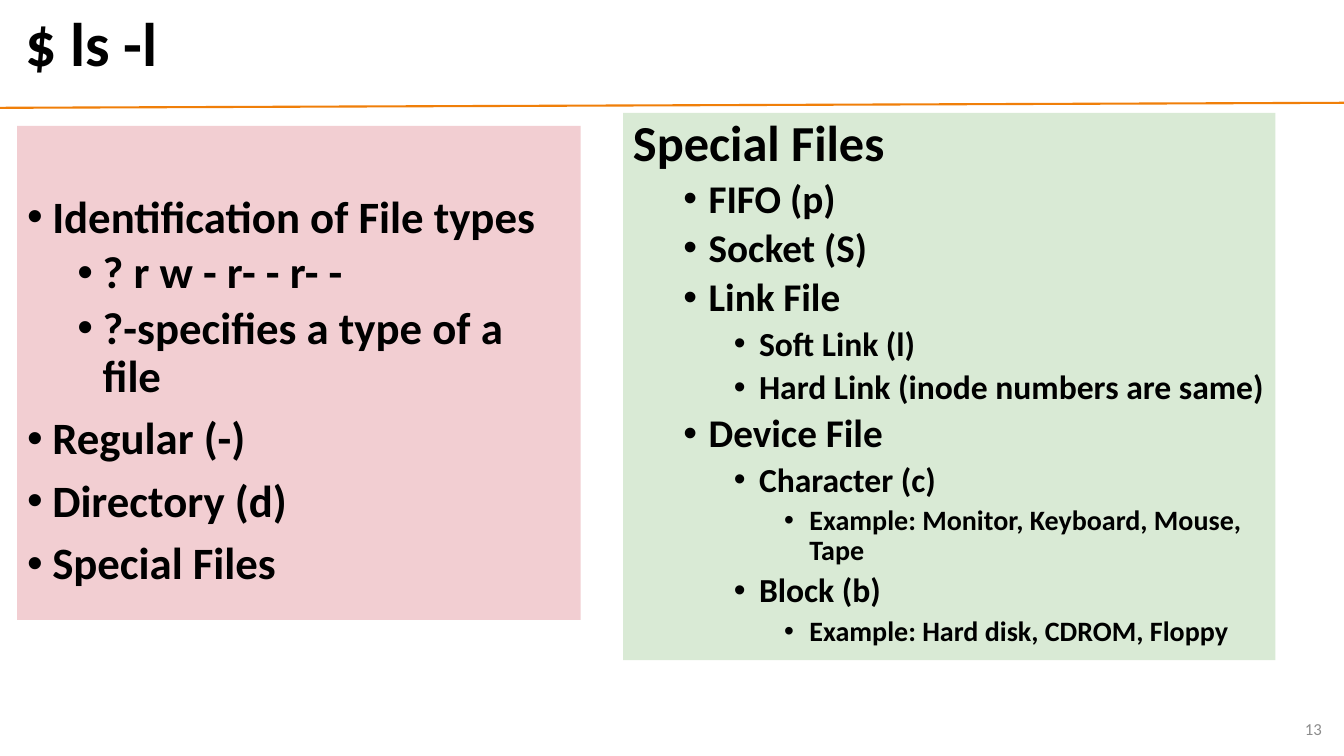
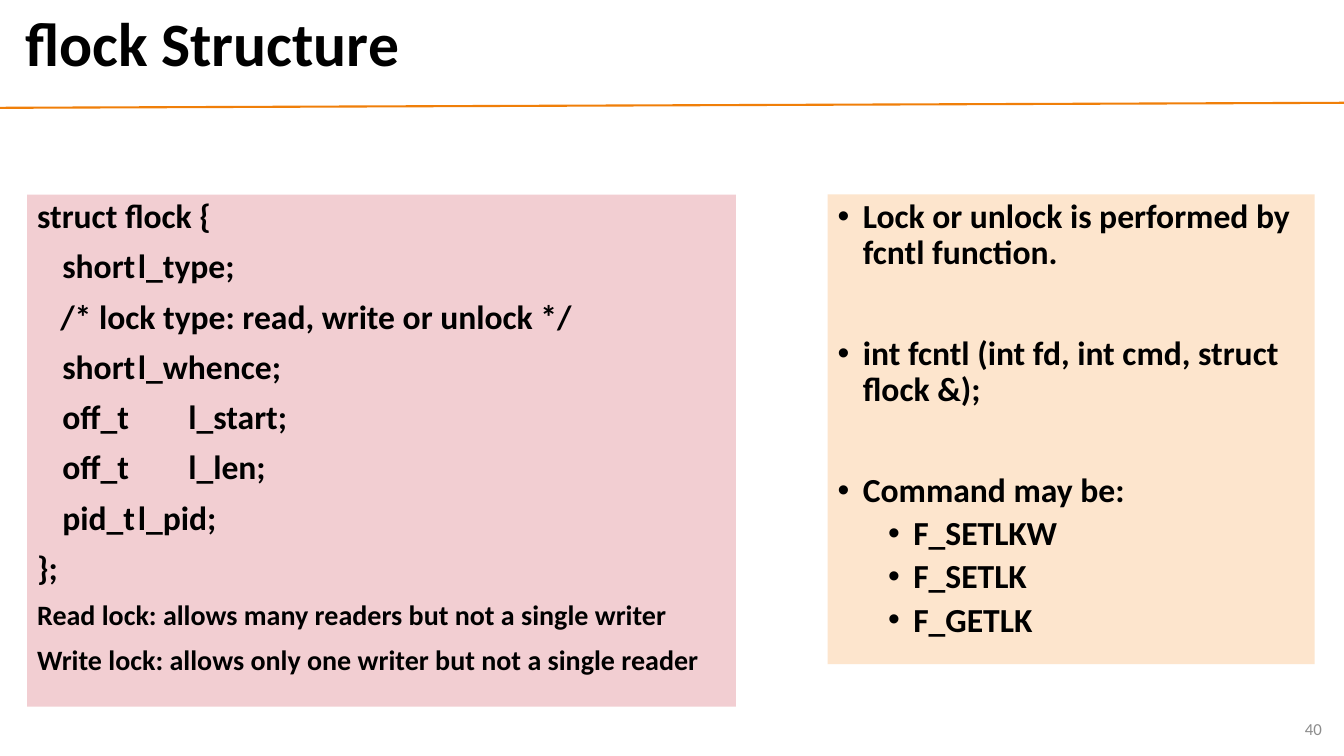
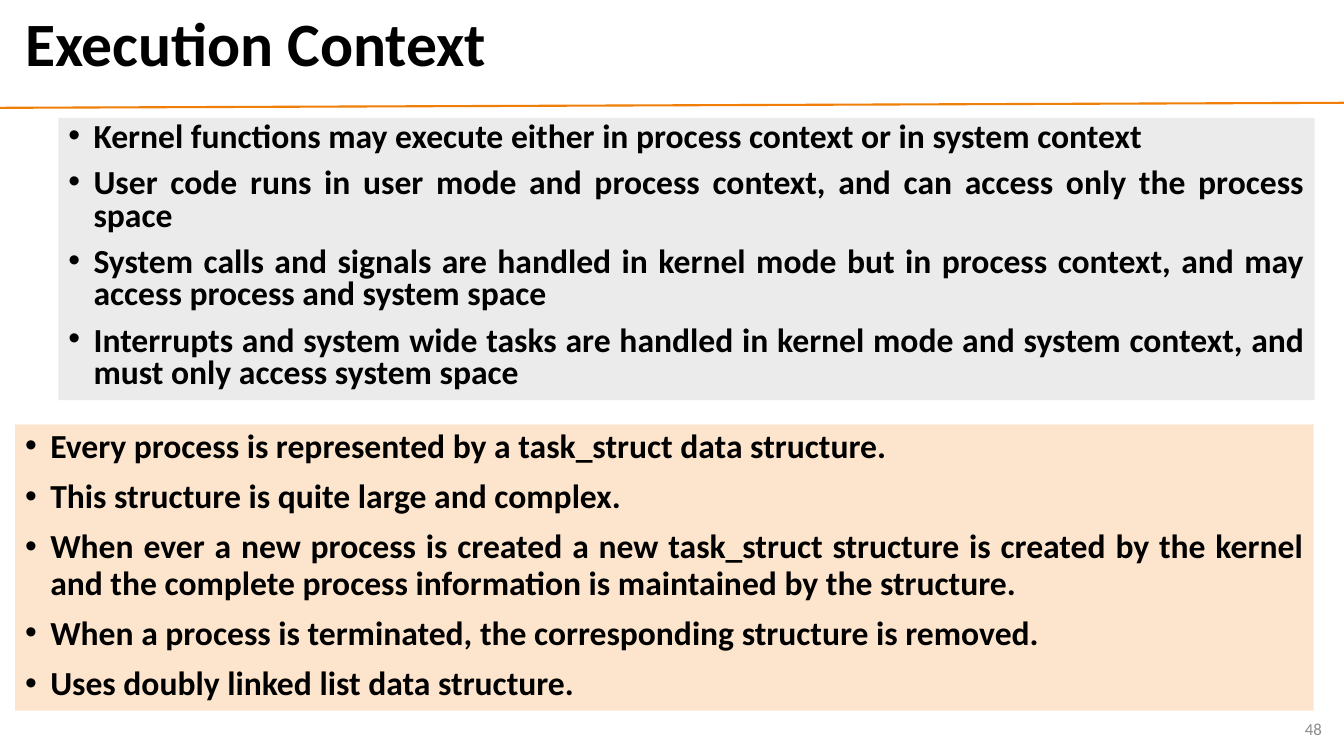
from dataclasses import dataclass

from lxml import etree
from pptx import Presentation
from pptx import util as u
from pptx.dml import color
from pptx.enum import shapes, text
from pptx.oxml import ns

PX = 9144
STEP = 50
HANG = 25
TOP = text.MSO_ANCHOR.TOP
MIDDLE = text.MSO_ANCHOR.MIDDLE
LEFT = text.PP_ALIGN.LEFT
RIGHT = text.PP_ALIGN.RIGHT
FULL = text.PP_ALIGN.JUSTIFY


@dataclass(frozen=True)
class Theme:
    font: str = "Calibri"
    ink: str = "000000"
    muted: str = "8C8C8C"
    accent: str = "F07F09"
    pink: str = "F2CED2"
    green: str = "D9EAD5"
    peach: str = "FDE5CD"
    gray: str = "EBEBEB"
    title: int = 44
    head: int = 36
    large: int = 32
    medium: int = 28
    body: int = 24
    small: int = 20
    page: int = 12


THEME = Theme()


@dataclass(frozen=True)
class Line:
    words: str
    size: int = THEME.body
    left: int = 0
    indent: int = 0
    bullet: bool = False
    tabs: tuple = ()
    bold: bool = True
    ink: str = THEME.ink
    align: int = LEFT
    space: float = 0.9
    before: int = 10
    after: int = 0


def px(count):
    return u.Emu(count * PX)


def rgb(code):
    return color.RGBColor.from_string(code)


def point(words, size=THEME.body, level=0, **style):
    style.setdefault("before", 5 if level else 10)
    return Line(words, size, HANG + STEP * level, -HANG, True, **style)


def field(words):
    return Line(words, indent=HANG, tabs=(125, 225))


def write(frame, lines, anchor=TOP, inset=5):
    frame.word_wrap = True
    frame.vertical_anchor = anchor
    frame.margin_left = frame.margin_right = px(10)
    frame.margin_top, frame.margin_bottom = px(inset), px(5)
    for index, line in enumerate(lines):
        para = frame.paragraphs[0] if index == 0 else frame.add_paragraph()
        para.text = line.words
        para.alignment = line.align
        para.line_spacing = line.space
        para.space_before = u.Pt(line.before if index else 0)
        para.space_after = u.Pt(line.after)
        props = para._p.get_or_add_pPr()
        props.set("marL", str(px(line.left)))
        props.set("indent", str(px(line.indent)))
        if line.bullet:
            etree.SubElement(props, ns.qn("a:buFont"), typeface="Arial")
            etree.SubElement(props, ns.qn("a:buChar"), char="•")
        if line.tabs:
            stops = etree.SubElement(props, ns.qn("a:tabLst"))
            for place in line.tabs:
                etree.SubElement(stops, ns.qn("a:tab"), pos=str(px(place)), algn="l")
        font = para.font
        font.name, font.size, font.bold = THEME.font, u.Pt(line.size), line.bold
        font.color.rgb = rgb(line.ink)


def label(slide, box, line):
    shape = slide.shapes.add_textbox(*map(px, box))
    write(shape.text_frame, [line], MIDDLE)


def panel(slide, box, fill, lines, inset=5):
    shape = slide.shapes.add_shape(shapes.MSO_SHAPE.RECTANGLE, *map(px, box))
    shape.shadow.inherit = False
    shape.fill.solid()
    shape.fill.fore_color.rgb = rgb(fill)
    shape.line.fill.background()
    write(shape.text_frame, lines, inset=inset)


def rule(slide):
    line = slide.shapes.add_connector(
        shapes.MSO_CONNECTOR.STRAIGHT, px(0), px(107), px(1333), px(102))
    line.line.color.rgb = rgb(THEME.accent)
    line.line.width = u.Pt(1.5)
    etree.SubElement(line._element.spPr, ns.qn("a:effectLst"))


def page(deck, title, number):
    slide = deck.slides.add_slide(deck.slide_layouts[6])
    rule(slide)
    label(slide, (15, 5, 1289, 83), Line(title, THEME.title))
    label(slide, (1021, 703, 300, 40), Line(
        str(number), THEME.page, bold=False, ink=THEME.muted, align=RIGHT, space=1.0))
    return slide


def listing(deck):
    slide = page(deck, "$ ls -l", 13)
    large, medium, small = THEME.large, THEME.medium, THEME.small
    panel(slide, (17, 125, 559, 490), THEME.pink, [
        point("Identification of File types", large),
        point("? r w - r- - r- -", large, 1),
        point("?-specifies a type of a file", large, 1),
        point("Regular (-)", large),
        point("Directory (d)", large),
        point("Special Files", large),
    ], inset=68)
    panel(slide, (618, 112, 647, 543), THEME.green, [
        Line("Special Files", THEME.head),
        point("FIFO (p)", medium, 1),
        point("Socket (S)", medium, 1),
        point("Link File", medium, 1),
        point("Soft Link (l)", level=2),
        point("Hard Link (inode numbers are same)", level=2),
        point("Device File", medium, 1),
        point("Character (c)", level=2),
        point("Example: Monitor, Keyboard, Mouse, Tape", small, 3),
        point("Block (b)", level=2),
        point("Example: Hard disk, CDROM, Floppy", small, 3),
    ])


def locking(deck):
    slide = page(deck, "flock Structure", 40)
    panel(slide, (27, 193, 703, 508), THEME.pink, [
        Line("struct flock {"),
        field("short\tl_type;"),
        Line("/* lock type: read, write or unlock */", indent=23),
        field("short\tl_whence;"),
        field("off_t\t\tl_start;"),
        field("off_t\t\tl_len;"),
        field("pid_t\tl_pid;"),
        Line("};"),
        Line("Read lock: allows many readers but not a single writer", THEME.small),
        Line("Write lock: allows only one writer but not a single reader", THEME.small),
    ])
    panel(slide, (821, 193, 483, 466), THEME.peach, [
        point("Lock or unlock is performed by fcntl function."),
        point("int fcntl (int fd, int cmd, struct flock &);", before=46),
        point("Command may be:", before=46),
        *[point(name, level=1) for name in ("F_SETLKW", "F_SETLK", "F_GETLK")],
    ])


def context(deck):
    slide = page(deck, "Execution Context", 48)
    modes = (
        "Kernel functions may execute either in process context or in system context",
        "User code runs in user mode and process context, and can access only the "
        "process space",
        "System calls and signals are handled in kernel mode but in process context, "
        "and may access process and system space",
        "Interrupts and system wide tasks are handled in kernel mode and system "
        "context, and must only access system space",
    )
    tasks = (
        "Every process is represented by a task_struct data structure.",
        "This structure is quite large and complex.",
        "When ever a new process is created a new task_struct structure is created by "
        "the kernel and the complete process information is maintained by the structure.",
        "When a process is terminated, the corresponding structure is removed.",
        "Uses doubly linked list data structure.",
    )
    panel(slide, (58, 117, 1246, 280), THEME.gray,
          [point(words, align=FULL, space=0.8) for words in modes])
    panel(slide, (15, 421, 1288, 284), THEME.peach,
          [point(words, align=FULL, before=5, after=5) for words in tasks])


def main():
    deck = Presentation()
    deck.slide_width, deck.slide_height = px(1333), px(750)
    listing(deck)
    locking(deck)
    context(deck)
    deck.save("out.pptx")


if __name__ == "__main__":
    main()
